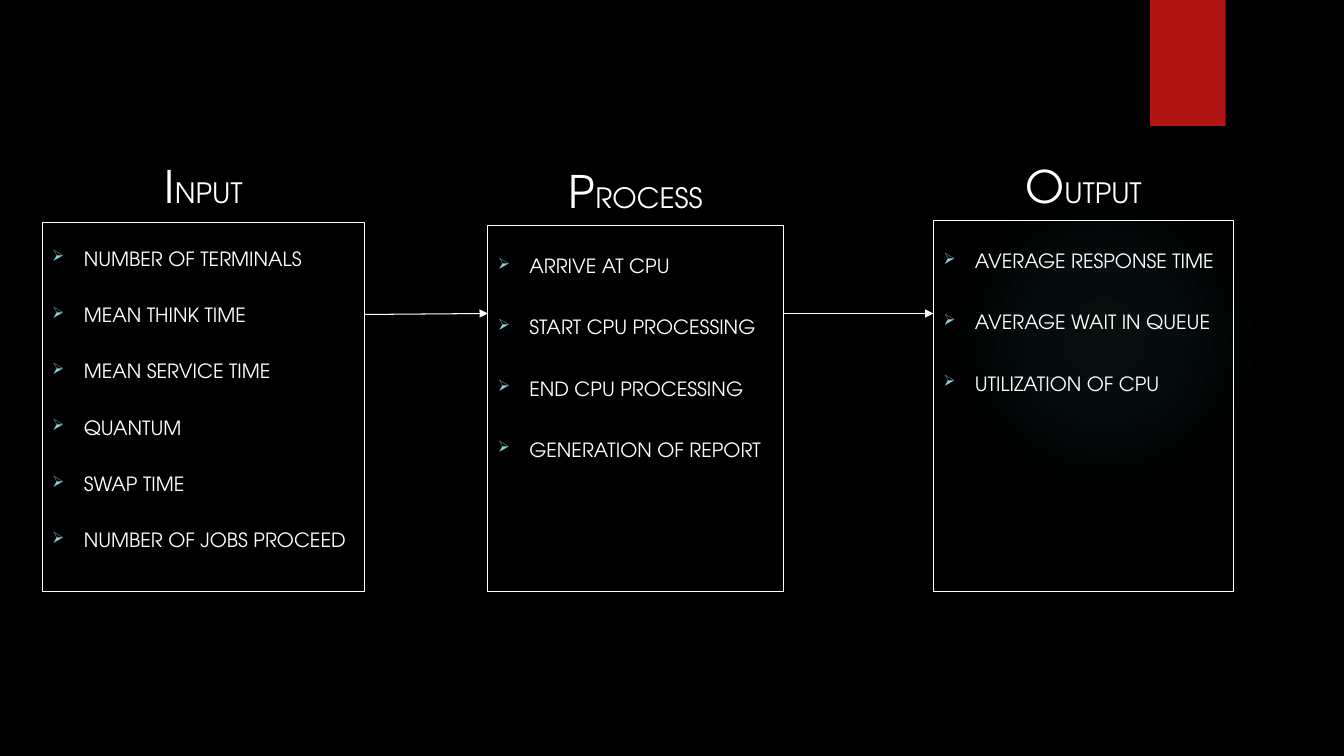
import pptx
import pptx.util
import pptx.dml.color
import pptx.enum.shapes
import pptx.enum.text
import pptx.oxml
import pptx.oxml.ns

RGBColor = pptx.dml.color.RGBColor
BLACK = RGBColor(0x00, 0x00, 0x00)
WHITE = RGBColor(0xFF, 0xFF, 0xFF)
RED = RGBColor(0xB0, 0x15, 0x13)
FONT = "TeX Gyre Adventor"
SHAPE = pptx.enum.shapes.MSO_SHAPE
ALIGN = pptx.enum.text.PP_ALIGN
NS = pptx.oxml.ns.nsdecls("a")

prs = pptx.Presentation()
prs.slide_width = pptx.util.Inches(13.33)
prs.slide_height = pptx.util.Inches(7.5)
s = prs.slides.add_slide(prs.slide_layouts[6])
s.background.fill.solid()
s.background.fill.fore_color.rgb = BLACK

# Grid of 160 columns by 90 rows
COL = prs.slide_width / 160
ROW = prs.slide_height / 90


def grid(*cells):
    return [round(n * (ROW if i % 2 else COL)) for i, n in enumerate(cells)]


def add_run(p, text, size):
    r = p.add_run()
    r.text = text
    r.font.name = FONT
    r.font.size = pptx.util.Pt(size)
    r.font.color.rgb = WHITE


# Soft glow behind the right column
glow = s.shapes.add_shape(SHAPE.OVAL, *grid(112.92, 21.96, 36.96, 36.96))
glow.shadow.inherit = False
glow.line.fill.background()
stops = "".join(
    f'<a:gs pos="{pos}000"><a:srgbClr val="50B9C1"><a:alpha val="{alpha}000"/></a:srgbClr></a:gs>'
    for pos, alpha in ((0, 7), (36, 6), (69, 0), (100, 0)))
glow_pr = glow.element.spPr
glow_pr.insert(2, pptx.oxml.parse_xml(
    f'<a:gradFill {NS}><a:gsLst>{stops}</a:gsLst><a:path path="circle">'
    '<a:fillToRect l="50000" t="50000" r="50000" b="50000"/></a:path></a:gradFill>'))

# Red tab
tab = s.shapes.add_shape(SHAPE.RECTANGLE, *grid(136.92, 0, 9, 15))
tab.shadow.inherit = False
tab.fill.solid()
tab.fill.fore_color.rgb = RED
tab.line.fill.background()

# Columns: heading, left, width, heading top, box top, line spacing, alignment, items
BOTTOM = 70.44
columns = [
    ("INPUT", 5.04, 38.4, 18.36, 26.52, 1.8, ALIGN.JUSTIFY,
     ["NUMBER OF TERMINALS", "MEAN THINK TIME", "MEAN SERVICE TIME",
      "QUANTUM", "SWAP TIME", "NUMBER OF JOBS PROCEED"]),
    ("PROCESS", 58.08, 35.2, 18.96, 26.88, 2.0, ALIGN.JUSTIFY,
     ["ARRIVE AT CPU", "START CPU PROCESSING", "END CPU PROCESSING",
      "GENERATION OF REPORT"]),
    ("OUTPUT", 111.12, 35.76, 18.36, 26.28, 2.0, ALIGN.LEFT,
     ["AVERAGE RESPONSE TIME", "AVERAGE WAIT IN QUEUE", "UTILIZATION OF CPU"]),
]
for heading, left, width, head_top, top, spacing, align, items in columns:
    # Heading with a large first letter
    tf = s.shapes.add_textbox(*grid(left, head_top, width, 7.56)).text_frame
    tf.word_wrap = True
    p = tf.paragraphs[0]
    p.alignment = ALIGN.CENTER
    add_run(p, heading[0], 32)
    add_run(p, heading[1:], 20)

    # Outlined box with arrow bullets
    box = s.shapes.add_shape(SHAPE.RECTANGLE, *grid(left, top, width, BOTTOM - top))
    box.shadow.inherit = False
    box.fill.background()
    box.line.color.rgb = WHITE
    box.line.width = pptx.util.Pt(0.75)
    tf = box.text_frame
    tf.word_wrap = True
    tf.vertical_anchor = pptx.enum.text.MSO_ANCHOR.TOP
    for i, item in enumerate(items):
        p = tf.add_paragraph() if i else tf.paragraphs[0]
        p.alignment = align
        p.line_spacing = spacing
        p.space_before = pptx.util.Pt(10 if i else 0)
        pPr = p._p.get_or_add_pPr()
        indent = round(3.75 * COL)
        pPr.set("marL", str(indent))
        pPr.set("indent", str(-indent))
        for bullet in ('<a:buClr {}><a:srgbClr val="8AD0D6"/></a:buClr>',
                       '<a:buSzPct {} val="80000"/>',
                       '<a:buChar {} char="➢"/>'):
            pPr.append(pptx.oxml.parse_xml(bullet.format(NS)))
        add_run(p, item, 14)

# Arrows between the boxes
for x1, y1, x2, y2 in ((43.44, 37.44, 58.08, 37.32), (93.28, 37.32, 111.12, 37.32)):
    arrow = s.shapes.add_connector(pptx.enum.shapes.MSO_CONNECTOR.STRAIGHT,
                                   *grid(x1, y1, x2, y2))
    arrow.line.color.rgb = WHITE
    arrow.line.width = pptx.util.Pt(0.75)
    arrow.line._get_or_add_ln().append(
        pptx.oxml.parse_xml(f'<a:tailEnd {NS} type="triangle"/>'))
    arrow._element.spPr.append(pptx.oxml.parse_xml(f'<a:effectLst {NS}/>'))

prs.save("out.pptx")
